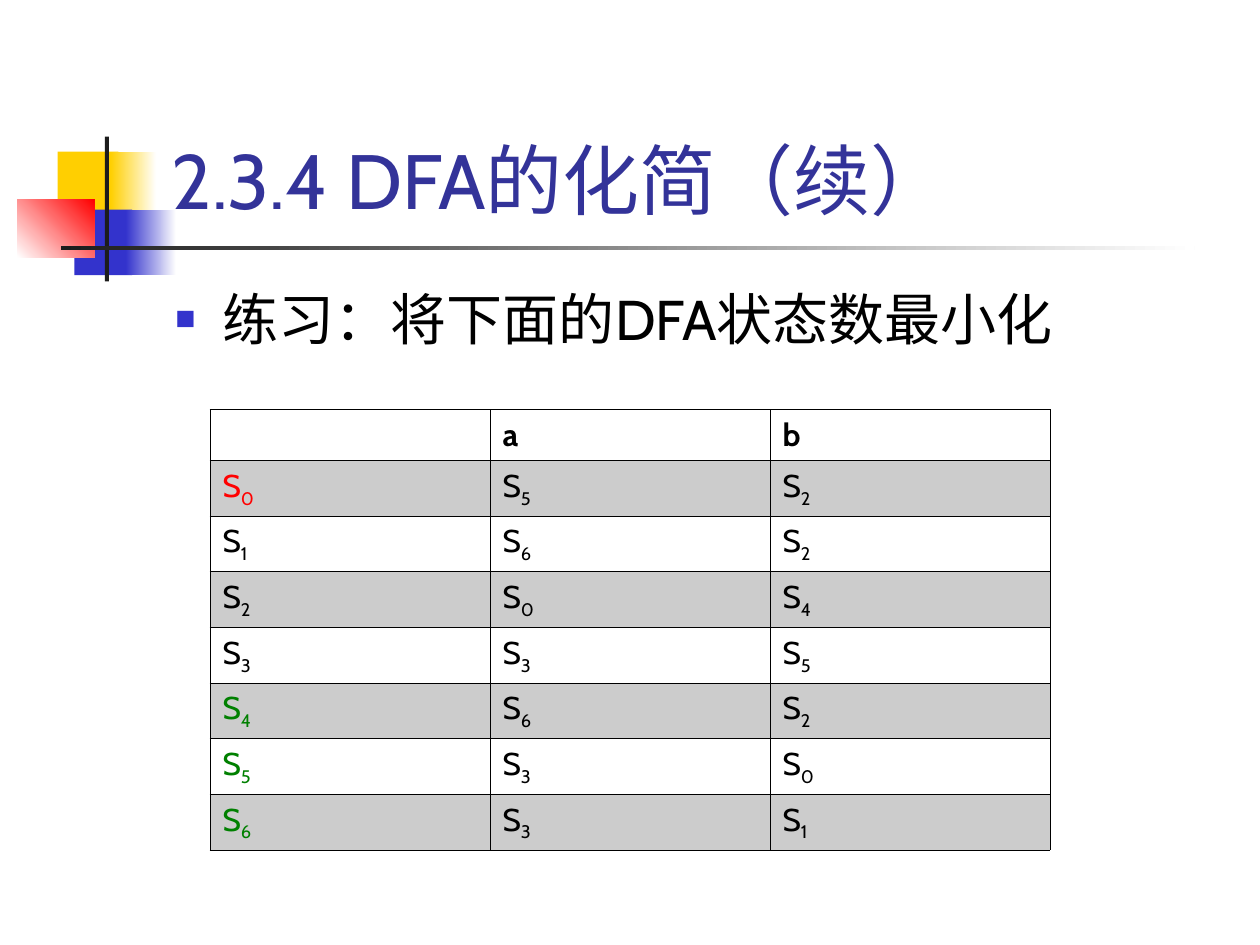
from lxml.etree import SubElement
from pptx import Presentation
from pptx.dml.color import RGBColor
from pptx.enum.shapes import MSO_SHAPE
from pptx.enum.text import MSO_ANCHOR, MSO_AUTO_SIZE, PP_ALIGN
from pptx.oxml import parse_xml
from pptx.oxml.ns import nsdecls, qn
from pptx.util import Pt

FONT = "Cabin"
YELLOW = RGBColor(0xFF, 0xCF, 0x01)
BLUE = RGBColor(0x33, 0x33, 0xCC)
RED = RGBColor(0xFF, 0x00, 0x00)
GREEN = RGBColor(0x00, 0x80, 0x00)
DARK = RGBColor(0x1C, 0x1C, 0x1C)
NAVY = RGBColor(0x33, 0x33, 0x99)
GREY = RGBColor(0xCC, 0xCC, 0xCC)
BLACK = RGBColor(0x00, 0x00, 0x00)
WHITE = RGBColor(0xFF, 0xFF, 0xFF)

TRANSITIONS = [(0, 5, 2), (1, 6, 2), (2, 0, 4), (3, 3, 5), (4, 6, 2), (5, 3, 0), (6, 3, 1)]
STATE_COLORS = {0: RED, 4: GREEN, 5: GREEN, 6: GREEN}


def style_paragraph(paragraph, size, color, bold=False):
    """Set the font of a whole paragraph."""
    font = paragraph.font
    font.name, font.size, font.bold = FONT, Pt(size), bold
    font.color.rgb = color


def add_block(slide, box, start, end=None, angle=0):
    """Add a borderless rectangle, solid or fading from start to end."""
    shape = slide.shapes.add_shape(MSO_SHAPE.RECTANGLE, *map(Pt, box))
    shape.shadow.inherit = False
    shape.line.fill.background()
    if end is None:
        shape.fill.solid()
        shape.fill.fore_color.rgb = start
    else:
        shape.fill.gradient()
        shape.fill.gradient_angle = angle
        for stop, color in zip(shape.fill.gradient_stops, (start, end)):
            stop.color.rgb = color


def add_emblem(slide, left, top):
    """Draw the coloured squares and crossing bars beside the title."""
    blocks = [
        ((23, 8.6, 34.6, 37.4), YELLOW),
        ((53.3, 8.6, 26, 37.4), YELLOW, WHITE),
        ((32.5, 41.8, 33, 37.4), BLUE),
        ((62, 41.8, 28.8, 37.4), BLUE, WHITE),
        ((0, 36, 44, 33.2), WHITE, RED, 45),
        ((49.9, 0, 2.4, 82.8), DARK),
        ((24.7, 62.4, 648, 2.5), DARK, WHITE),
    ]
    for (x, y, width, height), *colors in blocks:
        add_block(slide, (left + x, top + y, width, height), *colors)


def place_text(slide, placeholder, box, text, size, color, anchor):
    """Move a placeholder to the front of the emblem and fill it with text."""
    slide.shapes._spTree.append(placeholder._element)
    placeholder.left, placeholder.top, placeholder.width, placeholder.height = map(Pt, box)
    frame = placeholder.text_frame
    frame.text = text
    frame.word_wrap = True
    frame.auto_size = MSO_AUTO_SIZE.NONE
    frame.vertical_anchor = anchor
    paragraph = frame.paragraphs[0]
    paragraph.alignment = PP_ALIGN.LEFT
    style_paragraph(paragraph, size, color)
    return paragraph


def add_square_bullet(paragraph, indent):
    """Give a paragraph a small blue square bullet with a hanging indent."""
    properties = paragraph._p.get_or_add_pPr()
    properties.set("marL", str(Pt(indent)))
    properties.set("indent", str(-Pt(indent)))
    bullet = [
        f'<a:buClr {nsdecls("a")}><a:srgbClr val="{BLUE}"/></a:buClr>',
        f'<a:buSzPct {nsdecls("a")} val="60000"/>',
        f'<a:buChar {nsdecls("a")} char="■"/>',
    ]
    position = properties.index(properties.find(qn("a:defRPr")))
    for offset, xml in enumerate(bullet):
        properties.insert(position + offset, parse_xml(xml))


def format_cell(cell, fill):
    """Draw thin black borders around a cell and fill it if asked."""
    properties = cell._tc.get_or_add_tcPr()
    for side in ("lnL", "lnR", "lnT", "lnB"):
        line = SubElement(properties, qn(f"a:{side}"), w=str(Pt(0.45)))
        solid = SubElement(line, qn("a:solidFill"))
        SubElement(solid, qn("a:srgbClr"), val=str(BLACK))
    if fill is None:
        cell.fill.background()
    else:
        cell.fill.solid()
        cell.fill.fore_color.rgb = fill


def add_transition_table(slide, left, top, width, header_height, row_height):
    """Add the state transition table with shaded alternate rows."""
    headers = ("", "a", "b")
    height = header_height + row_height * len(TRANSITIONS)
    frame = slide.shapes.add_table(
        len(TRANSITIONS) + 1, len(headers), Pt(left), Pt(top), Pt(width), Pt(height))
    table = frame.table
    table.first_row = table.horz_banding = False
    for row in table.rows:
        row.height = Pt(row_height)
    table.rows[0].height = Pt(header_height)
    for column, header in enumerate(headers):
        cell = table.cell(0, column)
        cell.text = header
        style_paragraph(cell.text_frame.paragraphs[0], 18, BLACK, bold=True)
        format_cell(cell, None)
    for row, states in enumerate(TRANSITIONS, 1):
        for column, state in enumerate(states):
            cell = table.cell(row, column)
            paragraph = cell.text_frame.paragraphs[0]
            paragraph.add_run().text = "S"
            subscript = paragraph.add_run()
            subscript.text = str(state)
            subscript._r.get_or_add_rPr().set("baseline", "-25000")
            color = STATE_COLORS.get(state, BLACK) if column == 0 else BLACK
            style_paragraph(paragraph, 18, color)
            format_cell(cell, GREY if row % 2 else None)


def main():
    """Build the slide and save it."""
    presentation = Presentation()
    presentation.slide_width, presentation.slide_height = Pt(720), Pt(540)
    slide = presentation.slides.add_slide(presentation.slide_layouts[1])
    title, body = slide.placeholders
    add_emblem(slide, 10, 78)
    place_text(slide, title, (91, 16.5, 613.5, 115.5), "2.3.4 DFA的化简（续）",
               44, NAVY, MSO_ANCHOR.BOTTOM)
    exercise = place_text(slide, body, (93, 159, 612, 324), "练习：将下面的DFA状态数最小化",
                          32, BLACK, MSO_ANCHOR.TOP)
    exercise.space_before = Pt(8)
    add_square_bullet(exercise, 27)
    add_transition_table(slide, 120, 234, 480, 29.2, 31.8)
    presentation.save("out.pptx")


if __name__ == "__main__":
    main()
